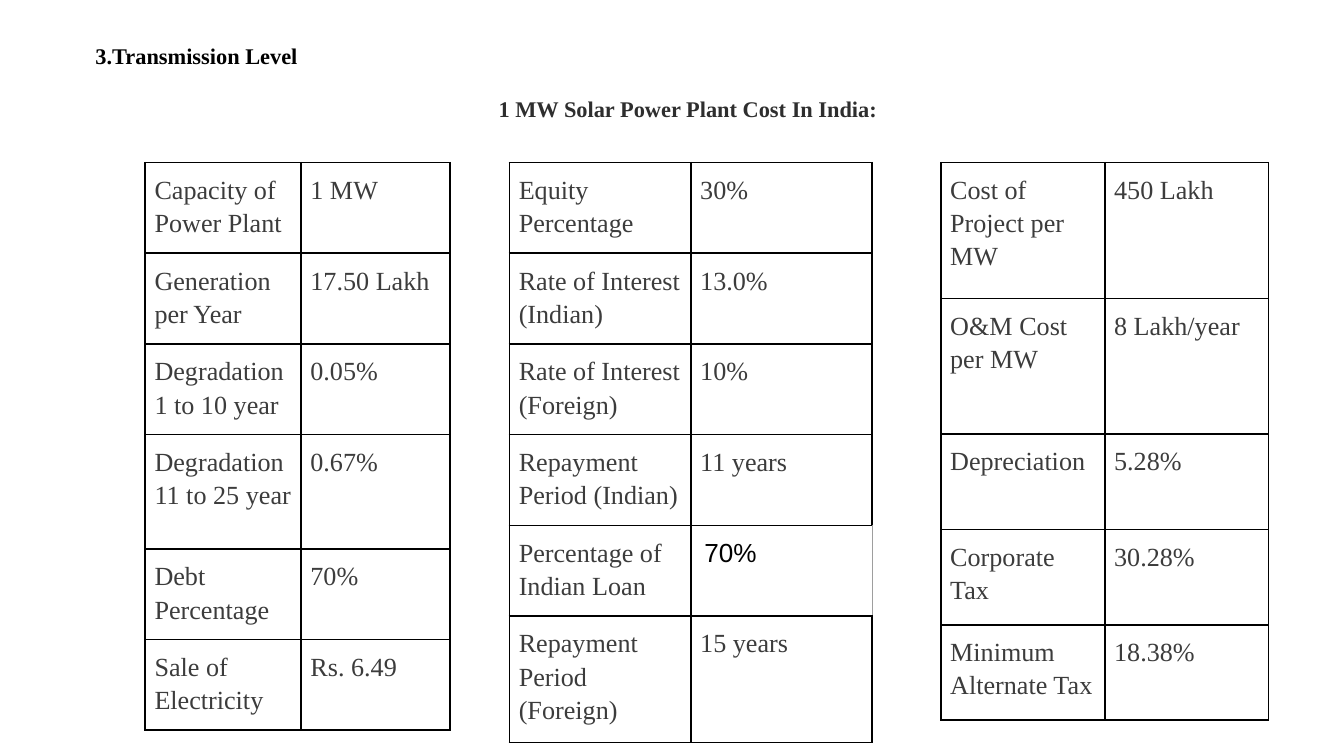
from lxml.etree import SubElement
from pptx import Presentation
from pptx.dml.color import RGBColor
from pptx.enum.text import MSO_ANCHOR, MSO_AUTO_SIZE, PP_ALIGN
from pptx.oxml.ns import qn
from pptx.util import Inches, Pt

BLACK = RGBColor(0x00, 0x00, 0x00)
CHARCOAL = RGBColor(0x2E, 0x2E, 0x2E)
BODY_GRAY = RGBColor(0x3C, 0x3C, 0x3C)
BORDER_GRAY = RGBColor(0x9E, 0x9E, 0x9E)

SERIF = "Times New Roman"
TABLE_TOP = 1.21
ROW = 2.7 / 4

PLANT = [
    ("Capacity of Power Plant", "1 MW"),
    ("Generation per Year", "17.50 Lakh"),
    ("Degradation 1 to 10 year", "0.05%"),
    ("Degradation 11 to 25 year", "0.67%"),
    ("Debt Percentage", "70%"),
    ("Sale of Electricity", "Rs. 6.49"),
]
FINANCE = [
    ("Equity Percentage", "30%"),
    ("Rate of Interest (Indian)", "13.0%"),
    ("Rate of Interest (Foreign)", "10%"),
    ("Repayment Period (Indian)", "11 years"),
    ("Percentage of Indian Loan", "70%"),
    ("Repayment Period (Foreign)", "15 years"),
]
COSTS = [
    ("Cost of Project per MW", "450 Lakh"),
    ("O&M Cost per MW", "8 Lakh/year"),
    ("Depreciation", "5.28%"),
    ("Corporate Tax", "30.28%"),
    ("Minimum Alternate Tax", "18.38%"),
]


class CostPage:
    def __init__(self, deck):
        self.page = deck.slides.add_slide(deck.slide_layouts[5])

    def add_span(self, para, text, size, color, font=SERIF, bold=False):
        span = para.add_run()
        span.text = text
        span.font.name = font
        span.font.size = Pt(size)
        span.font.bold = bold
        span.font.color.rgb = color

    def set_margins(self, holder, inset):
        for side in ("left", "top", "right", "bottom"):
            setattr(holder, f"margin_{side}", Inches(inset))

    def add_title(self, heading, caption):
        title = self.page.shapes.title
        title.left, title.top = Inches(0.61), Inches(0.21)
        title.width, title.height = Inches(8.59), Inches(1.21)
        frame = title.text_frame
        frame.word_wrap = True
        frame.auto_size = MSO_AUTO_SIZE.NONE
        frame.vertical_anchor = MSO_ANCHOR.TOP
        self.set_margins(frame, 0.1)

        para = frame.paragraphs[0]
        para.alignment = PP_ALIGN.LEFT
        self.add_span(para, heading, 12, BLACK, bold=True)

        para = frame.add_paragraph()
        para.alignment = PP_ALIGN.LEFT
        para.line_spacing = 1.15
        para.space_before = Pt(12)
        indents = para._p.get_or_add_pPr()
        indents.set("marL", str(Inches(2.5)))
        indents.set("indent", str(Inches(0.5)))
        self.add_span(para, caption, 12, CHARCOAL, bold=True)

    def add_borders(self, cell, right=(BLACK, 1)):
        properties = cell._tc.get_or_add_tcPr()
        edges = {"L": (BLACK, 1), "R": right, "T": (BLACK, 1), "B": (BLACK, 1)}
        for edge, (color, width) in edges.items():
            line = SubElement(properties, qn(f"a:ln{edge}"), w=str(Pt(width)))
            fill = SubElement(line, qn("a:solidFill"))
            SubElement(fill, qn("a:srgbClr"), val=str(color))

    def fill_cell(self, cell, text, plain=False):
        """Write a bordered cell; a plain one is in black Arial with a gray right edge."""
        self.set_margins(cell, 0.1 if plain else 0.07)
        cell.vertical_anchor = MSO_ANCHOR.TOP
        para = cell.text_frame.paragraphs[0]
        if plain:
            self.add_span(para, text, 14, BLACK, font="Arial")
            self.add_borders(cell, right=(BORDER_GRAY, 0.75))
        else:
            para.line_spacing = 1.15
            self.add_span(para, text, 14, BODY_GRAY)
            self.add_borders(cell)
        cell.fill.background()

    def add_cost_table(self, left, widths, heights, rows, plain_cell=None):
        frame = self.page.shapes.add_table(
            len(rows), len(widths), Inches(left), Inches(TABLE_TOP),
            Inches(sum(widths)), Inches(sum(heights)))
        table = frame.table
        table.first_row = table.horz_banding = False
        for column, width in zip(table.columns, widths):
            column.width = Inches(width)
        for r, (height, texts) in enumerate(zip(heights, rows)):
            table.rows[r].height = Inches(height)
            for c, text in enumerate(texts):
                self.fill_cell(table.cell(r, c), text, (r, c) == plain_cell)


def main():
    deck = Presentation()
    deck.slide_width, deck.slide_height = Inches(10), Inches(10 * 9 / 16)
    page = CostPage(deck)
    page.add_title("3.Transmission Level", "1 MW Solar Power Plant Cost In India:")
    page.add_cost_table(1.08, [1.16, 1.11], [ROW] * 3 + [0.85] + [ROW] * 2, PLANT)
    page.add_cost_table(3.79, [1.35] * 2, [ROW] * 5 + [0.94], FINANCE, plain_cell=(4, 1))
    page.add_cost_table(7, [1.22] * 2, [1.01] * 2 + [0.71] * 3, COSTS)
    deck.save("out.pptx")


if __name__ == "__main__":
    main()
